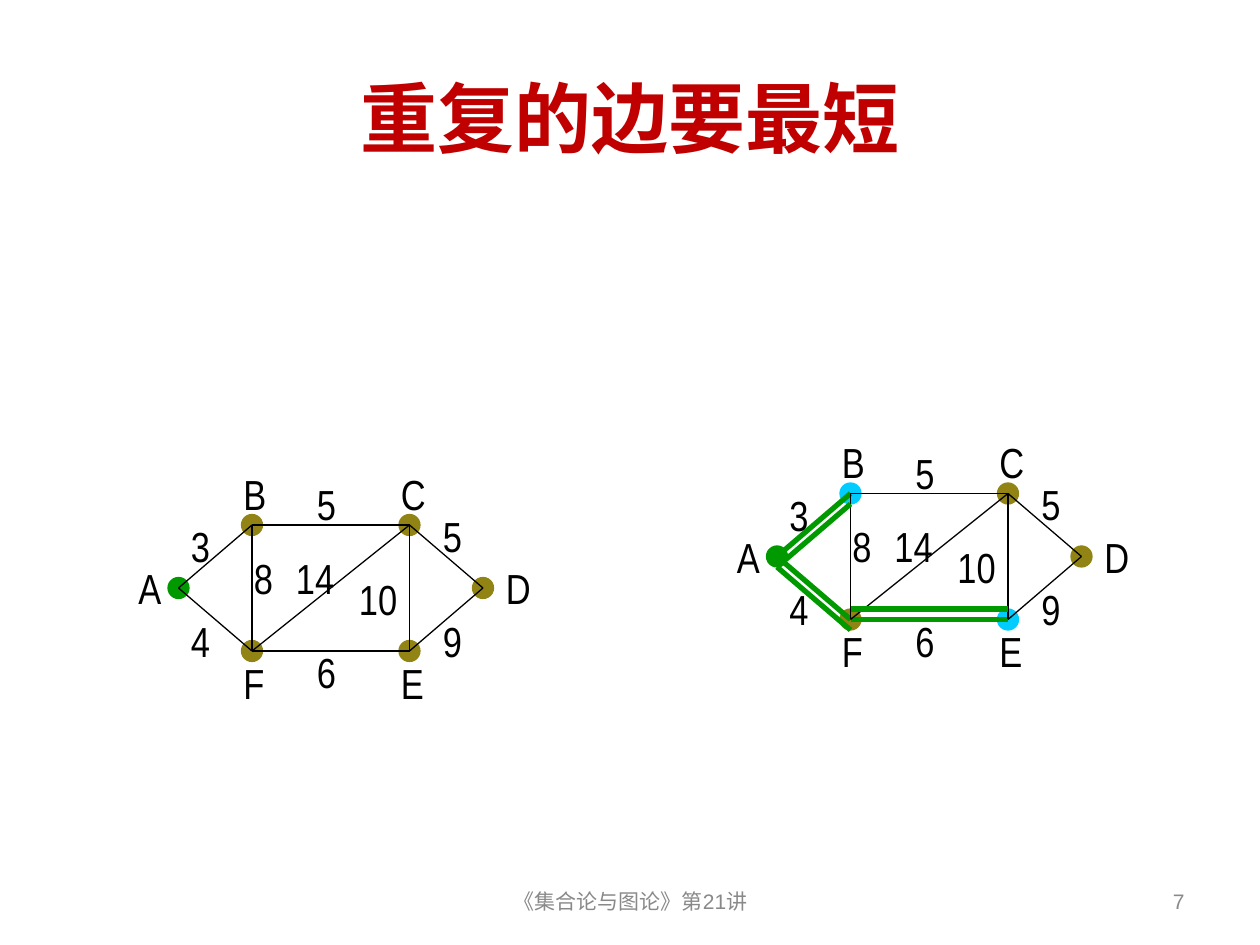
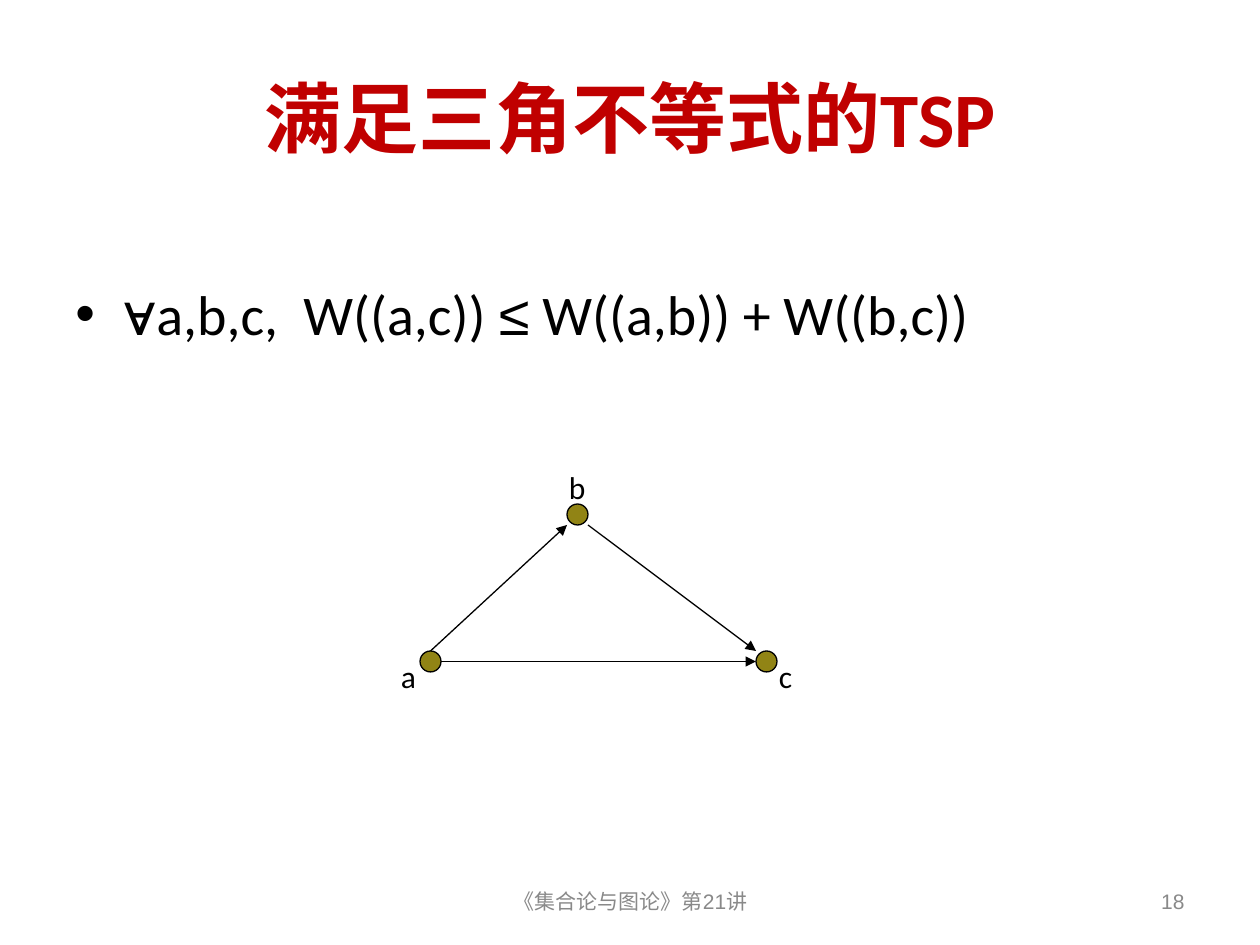
import pptx
import pptx.util
import pptx.dml.color
import pptx.enum.shapes
import pptx.enum.text
import pptx.oxml.ns
from lxml import etree

Inches = pptx.util.Inches
Pt = pptx.util.Pt
ALIGN = pptx.enum.text.PP_ALIGN
MIDDLE = pptx.enum.text.MSO_ANCHOR.MIDDLE

RED, GREY, BLACK = "C00000", "898989", "000000"
OLIVE, GREEN, BLUE = "918415", "009900", "00CCFF"
FOOTER = "《集合论与图论》第21讲"
CELL = 1 / 12

POSTMAN = {"title": "重复的边要最短", "page": "7"}
NODES = {"A": (0, 0), "B": (7, -6), "C": (22, -6),
         "D": (29, 0), "E": (22, 6), "F": (7, 6)}
NODE_LABELS = {"A": (-5, -3), "B": (5, -12), "F": (5, 6),
               "E": (20, 6), "C": (20, -12), "D": (30, -3)}
EDGES = [("BC", "5", (12, -11)), ("FE", "6", (12, 5)), ("AB", "3", (0, -7)),
         ("AF", "4", (0, 2)), ("CD", "5", (24, -8)), ("ED", "9", (24, 2)),
         ("BF", "8", (6, -4)), ("FC", "14", (10, -4)), ("CE", "10", (16, -2))]
GRAPHS = [
    {"origin": (17, 56), "node_colours": {"A": GREEN}, "repeated": {}},
    {"origin": (74, 53), "node_colours": {"A": GREEN, "B": BLUE, "E": BLUE},
     "repeated": {"FE": -1, "AF": 1, "AB": 1}},
]

TRIANGLE = {"title": "满足三角不等式的TSP", "page": "18"}
INEQUALITY = [("∀", "Arial"), ("a,b,c,  W((a,c)) ", "Calibri"),
              ("≤", "Arial"), (" W((a,b)) + W((b,c))", "Calibri")]
CORNERS = {"b": (55, 49), "a": (41, 63), "c": (73, 63)}
CORNER_LABELS = {"a": (37, 62), "b": (53, 44), "c": (73, 62)}
ARROWS = [((42, 63), (72, 63)), ((41, 62), (54, 50)), ((56, 50), (72, 62))]


def colour(hex_code):
    return pptx.dml.color.RGBColor.from_string(hex_code)


def shift(point, origin):
    return point[0] + origin[0], point[1] + origin[1]


def cells(*counts):
    return [Inches(count * CELL) for count in counts]


def add_run(paragraph, words, size, font, hex_code, bold=False):
    run = paragraph.add_run()
    run.text = words
    run.font.size = Pt(size)
    run.font.name = font
    run.font.bold = bold
    run.font.color.rgb = colour(hex_code)


def add_text(slide, box, words, size, font, hex_code=BLACK, align=ALIGN.LEFT, anchor=None):
    frame = slide.shapes.add_textbox(*box).text_frame
    frame.word_wrap = True
    frame.vertical_anchor = anchor
    paragraph = frame.paragraphs[0]
    paragraph.alignment = align
    add_run(paragraph, words, size, font, hex_code)


def add_node(slide, centre, fill, line):
    corner = shift(centre, (-1, -1))
    node = slide.shapes.add_shape(pptx.enum.shapes.MSO_SHAPE.OVAL, *cells(*corner, 2, 2))
    node.shadow.inherit = False
    node.fill.solid()
    node.fill.fore_color.rgb = colour(fill)
    node.line.color.rgb = colour(line)
    node.line.width = Pt(0.75)


def add_line(slide, start, end, hex_code=BLACK, width=0.75, arrow=False):
    edge = slide.shapes.add_connector(
        pptx.enum.shapes.MSO_CONNECTOR.STRAIGHT, *cells(*start, *end))
    edge.line.color.rgb = colour(hex_code)
    edge.line.width = Pt(width)
    qn = pptx.oxml.ns.qn
    properties = edge._element.spPr
    if arrow:
        etree.SubElement(properties.find(qn("a:ln")), qn("a:tailEnd"), type="triangle")
    etree.SubElement(properties, qn("a:effectLst"))


def new_slide(deck, content):
    slide = deck.slides.add_slide(deck.slide_layouts[5])
    title = slide.shapes.title
    title.left, title.top, title.width, title.height = map(Inches, (0.5, 0.3, 9, 1.25))
    title.text_frame.vertical_anchor = MIDDLE
    heading = title.text_frame.paragraphs[0]
    heading.alignment = ALIGN.CENTER
    add_run(heading, content["title"], 44, "Calibri", RED, True)
    for words, left, width, align in [(FOOTER, 3.42, 3.17, ALIGN.CENTER),
                                      (content["page"], 7.17, 2.33, ALIGN.RIGHT)]:
        box = map(Inches, (left, 6.95, width, 0.4))
        add_text(slide, box, words, 12, "Arial", GREY, align, MIDDLE)
    return slide


def draw_graph(slide, origin, node_colours, repeated):
    places = {name: shift(point, origin) for name, point in NODES.items()}
    for name, centre in places.items():
        fill = node_colours.get(name, OLIVE)
        add_node(slide, centre, fill, fill)
    for ends, weight, spot in EDGES:
        style = (GREEN, 3) if ends in repeated else (BLACK, 0.75)
        add_line(slide, places[ends[0]], places[ends[1]], *style)
    labels = list(NODE_LABELS.items()) + [(weight, spot) for ends, weight, spot in EDGES]
    for words, spot in labels:
        box = cells(*shift(spot, origin), 3 + 2 * len(words), 6)
        add_text(slide, box, words, 24, "Arial Narrow")
    for ends, drop in repeated.items():
        start, end = (shift(places[name], (0, drop)) for name in ends)
        add_line(slide, start, end, GREEN, 3)


def add_inequality(slide):
    frame = slide.shapes.add_textbox(*map(Inches, (0.5, 2.17, 9, 1))).text_frame
    frame.word_wrap = True
    statement = frame.paragraphs[0]
    for words, font in INEQUALITY:
        add_run(statement, words, 32, font, BLACK)
    properties = statement._p.get_or_add_pPr()
    properties.set("marL", str(Inches(0.38)))
    properties.set("indent", str(-Inches(0.38)))
    qn = pptx.oxml.ns.qn
    etree.SubElement(properties, qn("a:buFont"), typeface="Arial")
    etree.SubElement(properties, qn("a:buChar"), char="•")


def draw_triangle(slide):
    for centre in CORNERS.values():
        add_node(slide, centre, OLIVE, BLACK)
    for start, end in ARROWS:
        add_line(slide, start, end, arrow=True)
    for name, spot in CORNER_LABELS.items():
        add_text(slide, cells(*spot, 6, 4.8), name, 18, "Calibri")


def main():
    deck = pptx.Presentation()
    deck.slide_width, deck.slide_height = Inches(10), Inches(7.5)
    postman_slide = new_slide(deck, POSTMAN)
    for graph in GRAPHS:
        draw_graph(postman_slide, **graph)
    triangle_slide = new_slide(deck, TRIANGLE)
    add_inequality(triangle_slide)
    draw_triangle(triangle_slide)
    deck.save("out.pptx")


if __name__ == "__main__":
    main()
